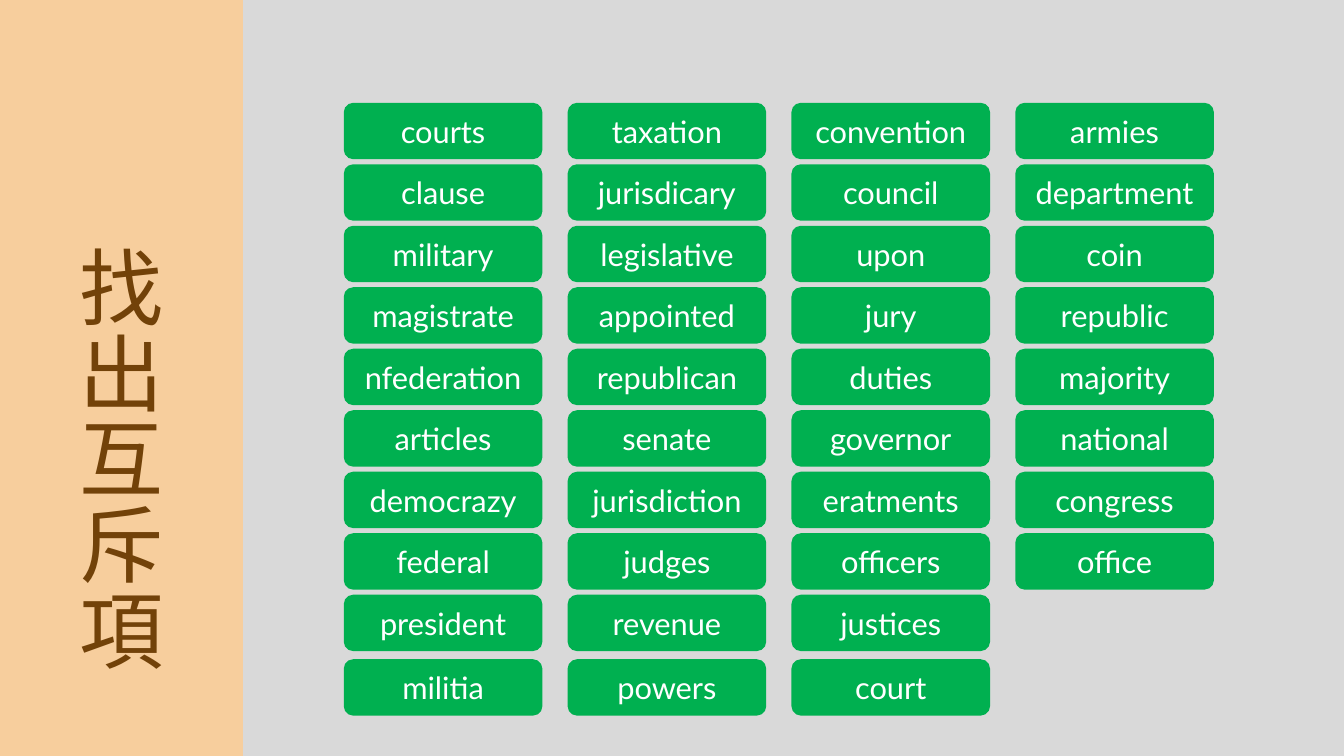
from pptx import Presentation
from pptx.dml.color import RGBColor
from pptx.enum import shapes, text
from pptx.util import Inches, Pt

BACKDROP = RGBColor(0xD9, 0xD9, 0xD9)
SAND = RGBColor(0xF7, 0xCE, 0x9D)
BROWN = RGBColor(0x72, 0x42, 0x09)
GREEN = RGBColor(0x00, 0xB0, 0x50)
WHITE = RGBColor(0xFF, 0xFF, 0xFF)

TITLE_LINES = ["找", "出互斥", "項"]
WORD_COLUMNS = [
    ["courts", "clause", "military", "magistrate", "nfederation",
     "articles", "democrazy", "federal", "president", "militia"],
    ["taxation", "jurisdicary", "legislative", "appointed", "republican",
     "senate", "jurisdiction", "judges", "revenue", "powers"],
    ["convention", "council", "upon", "jury", "duties",
     "governor", "eratments", "officers", "justices", "court"],
    ["armies", "department", "coin", "republic", "majority",
     "national", "congress", "office"],
]


def add_block(slide, kind, left, top, width, height, colour):
    block = slide.shapes.add_shape(
        kind, Inches(left), Inches(top), Inches(width), Inches(height))
    block.shadow.inherit = False
    block.fill.solid()
    block.fill.fore_color.rgb = colour
    block.line.fill.background()
    return block


def style_text(paragraph, font_name, size, colour):
    paragraph.alignment = text.PP_ALIGN.CENTER
    paragraph.font.name = font_name
    paragraph.font.size = Pt(size)
    paragraph.font.color.rgb = colour


def add_title_band(slide, left, top, width, height):
    add_block(slide, shapes.MSO_SHAPE.RECTANGLE, left, top, width, height, SAND)
    title = slide.shapes.add_textbox(
        Inches(left + 0.68), Inches(top + 2.46), Inches(1.05), Inches(4.33))
    frame = title.text_frame
    frame.word_wrap = True
    frame.vertical_anchor = text.MSO_ANCHOR.BOTTOM
    heading = frame.paragraphs[0]
    style_text(heading, "Noto Sans Mono", 60, BROWN)
    heading.line_spacing = 0.85
    for index, line in enumerate(TITLE_LINES):
        if index:
            heading.add_line_break()
        run = heading.add_run()
        run.text = line
        run.font._element.set("spc", "-50")


def add_word_grid(slide, left, top, column_step, row_step, last_row_gap):
    for column, words in enumerate(WORD_COLUMNS):
        for row, word in enumerate(words):
            extra = last_row_gap if row == 9 else 0
            card = add_block(
                slide, shapes.MSO_SHAPE.ROUNDED_RECTANGLE,
                left + column * column_step, top + row * row_step + extra,
                1.97, 0.56, GREEN)
            frame = card.text_frame
            frame.vertical_anchor = text.MSO_ANCHOR.MIDDLE
            label = frame.paragraphs[0]
            label.text = word
            style_text(label, "Lato", 22, WHITE)


def main():
    deck = Presentation()
    deck.slide_width = Inches(13.33)
    deck.slide_height = Inches(7.5)
    slide = deck.slides.add_slide(deck.slide_layouts[6])
    slide.background.fill.solid()
    slide.background.fill.fore_color.rgb = BACKDROP
    add_title_band(slide, 0, 0, 2.41, 7.5)
    add_word_grid(slide, 3.41, 1.02, 2.22, 0.61, 0.03)
    deck.save("out.pptx")


if __name__ == "__main__":
    main()
